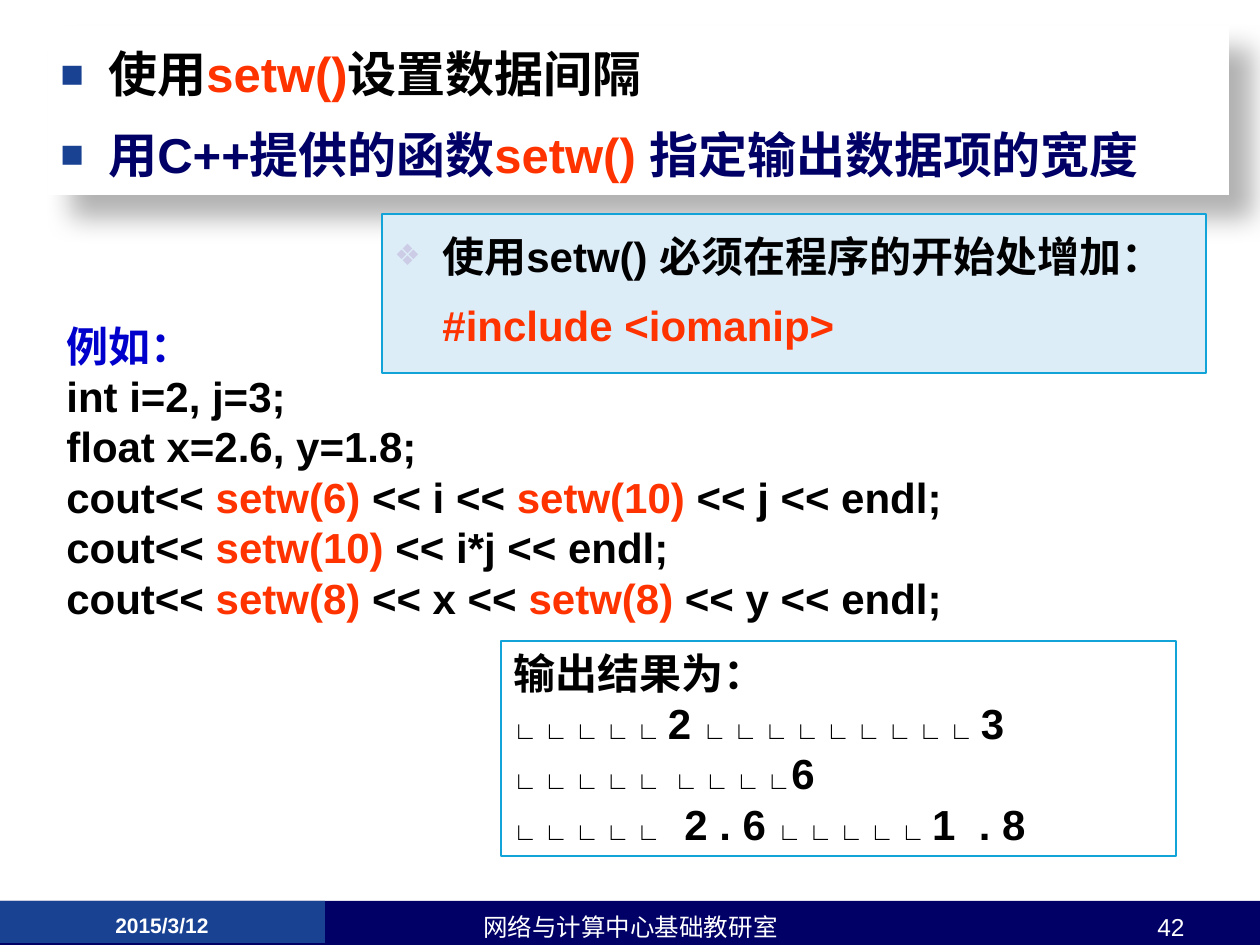
"""Build the slide on setting output field width with setw()."""
import pptx
import pptx.dml.color
import pptx.enum.shapes
import pptx.enum.text
import pptx.oxml
import pptx.util

RGB = pptx.dml.color.RGBColor
BLACK = RGB(0x00, 0x00, 0x00)
WHITE = RGB(0xFF, 0xFF, 0xFF)
NAVY = RGB(0x00, 0x00, 0x66)
ROYAL = RGB(0x19, 0x42, 0x93)
BLUE = RGB(0x00, 0x00, 0xCC)
RED = RGB(0xFF, 0x33, 0x00)
CYAN = RGB(0x12, 0xA4, 0xD8)
PALE = RGB(0xDC, 0xED, 0xF8)
LILAC = RGB(0xCC, 0xCC, 0xE6)
EMU_PER_PX = 914400 / 126
NS = 'xmlns:a="http://schemas.openxmlformats.org/drawingml/2006/main"'
ALIGN = pptx.enum.text.PP_ALIGN

deck = pptx.Presentation()
deck.slide_width = round(1260 * EMU_PER_PX)
deck.slide_height = round(945 * EMU_PER_PX)
slide = deck.slides.add_slide(deck.slide_layouts[6])


def add_box(bounds, fill=None, line=None):
    place = [round(length * EMU_PER_PX) for length in bounds]
    if fill is None:
        box = slide.shapes.add_textbox(*place)
    else:
        box = slide.shapes.add_shape(pptx.enum.shapes.MSO_SHAPE.RECTANGLE, *place)
        box.shadow.inherit = False
        box.fill.solid()
        box.fill.fore_color.rgb = fill
        if line is None:
            box.line.fill.background()
        else:
            box.line.color.rgb = line
            box.line.width = pptx.util.Pt(0.75)
    box.text_frame.word_wrap = True
    box.text_frame.vertical_anchor = pptx.enum.text.MSO_ANCHOR.TOP
    return box


def write(box, lines, size, color=BLACK, bold=True, align=ALIGN.LEFT, bullet=None, font="Arial"):
    for number, runs in enumerate(lines):
        paragraph = box.text_frame.paragraphs[0] if number == 0 else box.text_frame.add_paragraph()
        paragraph.alignment = align
        if bullet:
            mark, mark_color, percent = bullet
            paragraph.line_spacing = 1.2
            if number:
                paragraph.space_before = pptx.util.Pt(size * 0.2)
            properties = paragraph._p.get_or_add_pPr()
            properties.set("marL", str(round(48 * EMU_PER_PX)))
            if mark and runs[0][0][0] != "#":
                properties.set("indent", str(-round(48 * EMU_PER_PX)))
                for element in (
                    f'<a:buClr {NS}><a:srgbClr val="{mark_color}"/></a:buClr>',
                    f'<a:buSzPct {NS} val="{percent * 1000}"/>',
                    f'<a:buFont {NS} typeface="Arial"/>',
                    f'<a:buChar {NS} char="{mark}"/>',
                ):
                    properties.append(pptx.oxml.parse_xml(element))
        paragraph.font.name = font
        paragraph.font.bold = bold
        paragraph.font.size = pptx.util.Pt(size)
        paragraph.font.color.rgb = color
        for text, *style in runs:
            run = paragraph.add_run()
            run.text = text
            for value in style:
                if isinstance(value, RGB):
                    run.font.color.rgb = value
                else:
                    run.font.size = pptx.util.Pt(value)


add_box((0, 901, 1260, 44), NAVY)
add_box((0, 901, 325, 42), ROYAL)

headline = add_box((48, 26, 1181, 169), WHITE)
headline._element.spPr.find(pptx.oxml.ns.qn("a:effectLst")).append(pptx.oxml.parse_xml(
    f'<a:outerShdw {NS} blurRad="190500" dist="228600" dir="2700000" algn="tl" rotWithShape="0">'
    '<a:srgbClr val="000000"><a:alpha val="30000"/></a:srgbClr></a:outerShdw>'))
write(headline, [
    [("使用",), ("setw()", RED), ("设置数据间隔",)],
    [("用C++提供的函数", NAVY), ("setw() ", RED), ("指定输出数据项的宽度", NAVY)],
], 28, bullet=("■", ROYAL, 80))

for bounds, text, size, bold, align in (
    ((15, 906, 294, 30), "2015/3/12", 12, True, ALIGN.CENTER),
    ((431, 906, 399, 30), "网络与计算中心基础教研室", 14, False, ALIGN.CENTER),
    ((903, 906, 294, 30), "42", 14, False, ALIGN.RIGHT),
):
    write(add_box(bounds), [[(text,)]], size, WHITE, bold, align)

example = add_box((54, 314, 1081, 315))
write(example, [
    [("例如：", BLUE)],
    [("int i=2, j=3;",)],
    [("float x=2.6, y=1.8;",)],
    [("cout<< ",), ("setw(6)", RED), (" << i << ",), ("setw(10)", RED), (" << j << endl;",)],
    [("cout<< ",), ("setw(10)", RED), (" << i*j << endl;",)],
    [("cout<< ",), ("setw(8)", RED), (" << x << ",), ("setw(8)", RED), (" << y << endl;",)],
], 24)
example.text_frame.paragraphs[0].font.name = "Noto Sans CJK SC"

output = add_box((501, 641, 675, 215), WHITE, CYAN)
write(output, [
    [("输出结果为：",)],
    [("∟ ∟ ∟ ∟ ∟ ", 14), ("2 ",), ("∟ ∟ ∟ ∟ ∟ ∟ ∟ ∟ ∟ ", 14), ("3",)],
    [("∟ ∟ ∟ ∟ ∟  ∟ ∟ ∟ ∟", 14), ("6",)],
    [("∟ ∟ ∟ ∟ ∟", 14), ("  2 . 6 ",), ("∟ ∟ ∟ ∟ ∟ ", 14), ("1  . 8",)],
], 24)

header_note = add_box((382, 214, 824, 159), PALE, CYAN)
write(header_note, [
    [("使用setw() 必须在程序的开始处增加：",)],
    [("#include <iomanip>", RED)],
], 24, bullet=("❖", LILAC, 70))

deck.save("out.pptx")
